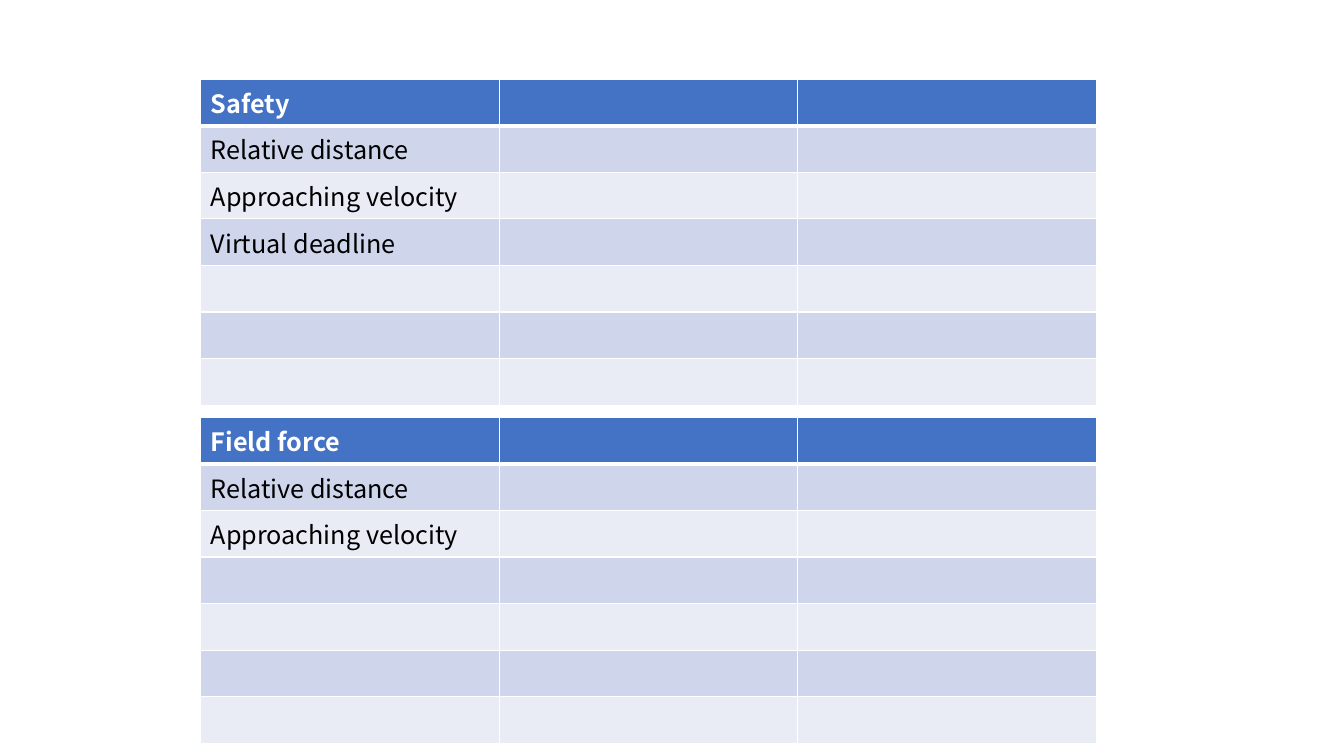
import pptx
import pptx.dml.color
import pptx.oxml
import pptx.oxml.ns
import pptx.util

Pt = pptx.util.Pt
RGBColor = pptx.dml.color.RGBColor

WHITE = RGBColor(0xFF, 0xFF, 0xFF)
BLACK = RGBColor(0, 0, 0)
HEADER = RGBColor(0x44, 0x72, 0xC4)
BANDS = (RGBColor(0xE9, 0xEB, 0xF5), RGBColor(0xCF, 0xD5, 0xEA))
FONT = "Noto Sans CJK KR"
LEFT, COL_WIDTH, ROW_HEIGHT = 143.3, 213.3, 33.2
ROWS, COLS = 7, 3


class SlideBuilder:
    """Draws banded tables in one style on the current slide."""

    def __init__(self, slide):
        self.slide = slide

    def table(self, top, labels):
        frame = self.slide.shapes.add_table(
            ROWS, COLS, Pt(LEFT), Pt(top), Pt(COLS * COL_WIDTH), Pt(ROWS * ROW_HEIGHT)
        )
        for i, row in enumerate(frame.table.rows):
            for j, cell in enumerate(row.cells):
                if j == 0 and i < len(labels):
                    cell.text = labels[i]
                self.cell(cell, i)

    def cell(self, cell, row):
        is_header = row == 0
        cell.fill.solid()
        cell.fill.fore_color.rgb = HEADER if is_header else BANDS[row % 2]
        font = cell.text_frame.paragraphs[0].font
        font.name = FONT
        font.size = Pt(18)
        font.bold = is_header
        font.color.rgb = WHITE if is_header else BLACK
        self.borders(cell, top=3 if row == 1 else 1, bottom=3 if is_header else 1)

    def borders(self, cell, top, bottom):
        tcPr = cell._tc.get_or_add_tcPr()
        sides = (("lnL", 1), ("lnR", 1), ("lnT", top), ("lnB", bottom))
        for i, (tag, width) in enumerate(sides):
            ln = pptx.oxml.parse_xml(
                f'<a:{tag} {pptx.oxml.ns.nsdecls("a")} w="{Pt(width)}">'
                f'<a:solidFill><a:srgbClr val="{WHITE}"/></a:solidFill></a:{tag}>'
            )
            tcPr.insert(i, ln)


def main():
    prs = pptx.Presentation()
    prs.slide_width, prs.slide_height = Pt(960), Pt(540)
    builder = SlideBuilder(prs.slides.add_slide(prs.slide_layouts[6]))
    shared = ["Relative distance", "Approaching velocity"]
    builder.table(56.5, ["Safety", *shared, "Virtual deadline"])
    builder.table(298, ["Field force", *shared])
    prs.save("out.pptx")


if __name__ == "__main__":
    main()
